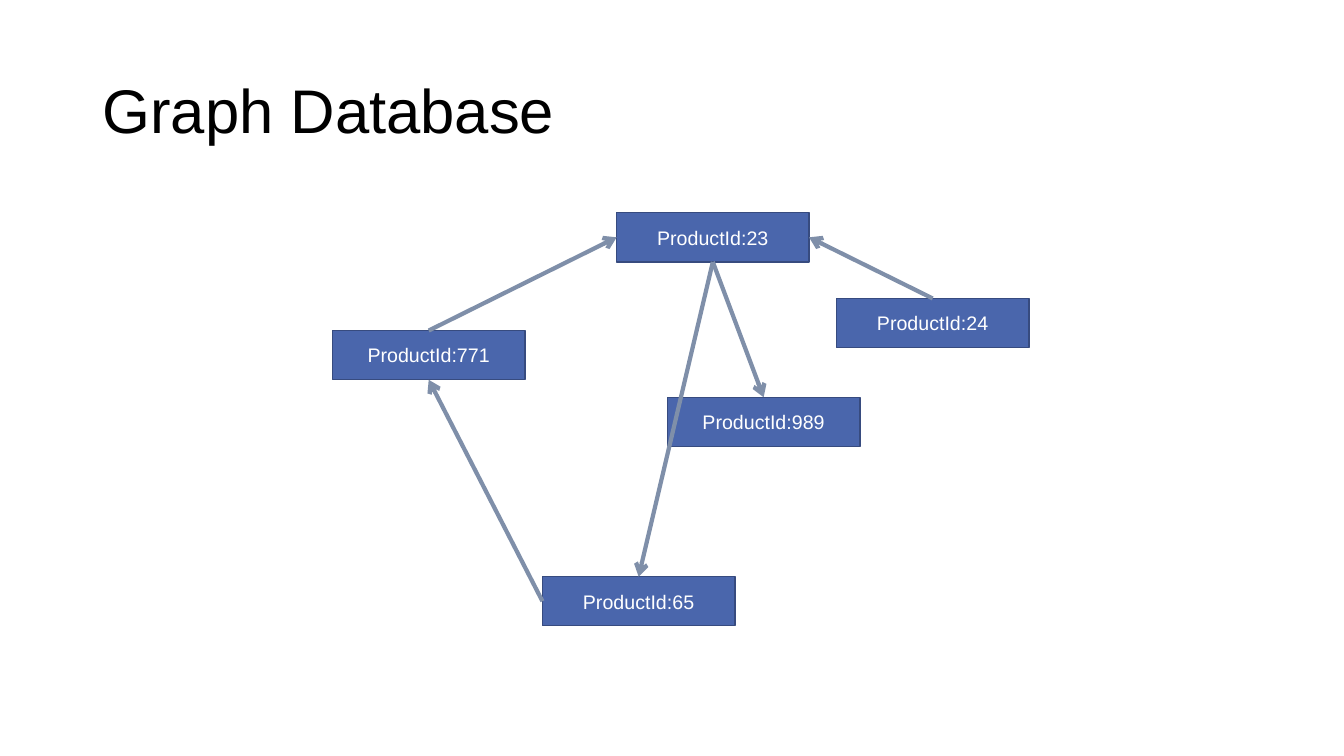
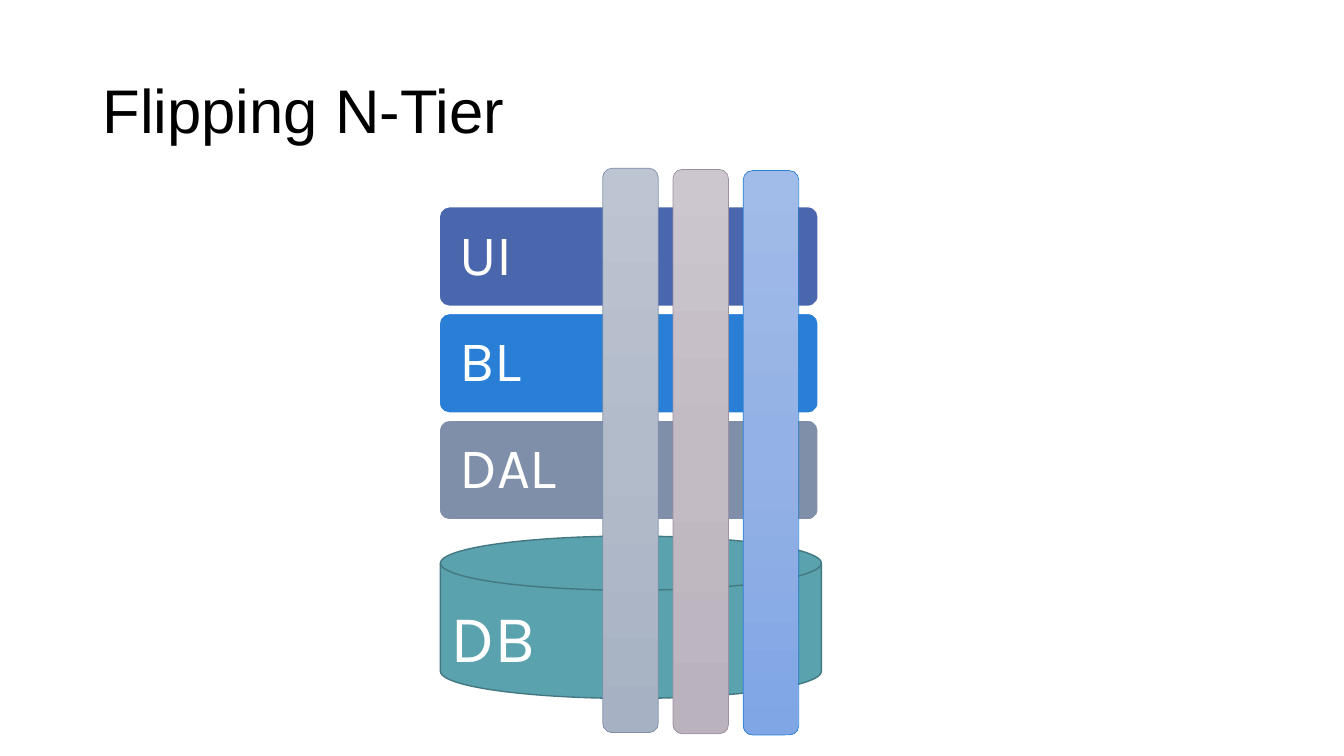
from dataclasses import dataclass

from copy import deepcopy
from lxml import etree
from pptx import Presentation
from pptx import util as u
from pptx.dml.color import RGBColor
from pptx.enum import shapes, text
from pptx.oxml.ns import qn

COLORS = {
    "black": "000000", "white": "FFFFFF",
    "indigo": "4A66AC", "indigo_dark": "374B7F",
    "blue": "297FD5", "slate": "7F8FA9", "mauve": "9D90A0",
    "teal": "5AA2AE", "teal_dark": "437881",
}
SHAPE = shapes.MSO_SHAPE
ALIGN = text.PP_ALIGN
ANCHOR = text.MSO_ANCHOR
TOP, LEFT, BOTTOM, RIGHT = 0, 1, 2, 3  # connection sites of a rectangle


@dataclass
class Node:
    product: int
    x: float
    y: float


@dataclass
class Edge:
    source: int
    source_site: int
    target: int
    target_site: int


@dataclass
class Tier:
    label: str
    fill: str


@dataclass
class Bar:
    line: str
    stops: tuple[str, str, str]


NODE_W, NODE_H = 4.85, 1.24
NODES = [Node(771, 8.38, 8.33), Node(23, 15.54, 5.36), Node(65, 13.67, 14.53),
         Node(989, 16.82, 10.01), Node(24, 21.08, 7.52)]
EDGES = [Edge(771, TOP, 23, LEFT), Edge(23, BOTTOM, 989, TOP),
         Edge(23, BOTTOM, 65, TOP), Edge(24, TOP, 23, RIGHT),
         Edge(65, LEFT, 771, BOTTOM)]

TIER_X, TIER_Y, TIER_PITCH = 11.07, 5.21, 2.69
TIERS = [Tier("UI", "indigo"), Tier("BL", "blue"), Tier("DAL", "slate")]

BAR_X, BAR_Y, BAR_STEP_X, BAR_STEP_Y = 15.19, 4.24, 1.77, 0.03
BARS = [Bar("slate", ("BEC5D2", "B2BBC9", "A6B1C3")),
        Bar("mauve", ("CCC6CE", "C2BBC4", "BAB2BC")),
        Bar("blue", ("A2BCE9", "94B1E5", "80A6E6"))]


def rgb(name: str) -> RGBColor:
    return RGBColor.from_string(COLORS[name])


def write(sp, words: str, *, size: float, font: str = "Arial", color: str = "white",
          align=ALIGN.LEFT, anchor=ANCHOR.MIDDLE, spacing: float = 1.0,
          inset: float | None = None) -> None:
    """Put one formatted paragraph into a shape."""
    tf = sp.text_frame
    tf.word_wrap = True
    tf.vertical_anchor = anchor
    if inset is not None:
        tf.margin_left = tf.margin_right = tf.margin_top = tf.margin_bottom = u.Cm(inset)
    p = tf.paragraphs[0]
    p.alignment, p.line_spacing = align, spacing
    r = p.add_run()
    r.text = words
    r.font.name, r.font.size = font, u.Pt(size)
    r.font.color.rgb = rgb(color)


def add_shape(s, kind, x: float, y: float, w: float, h: float, *, line: str,
              fill: str | None = None, line_width: float = 1):
    """Draw a preset shape without a shadow."""
    sp = s.shapes.add_shape(kind, u.Cm(x), u.Cm(y), u.Cm(w), u.Cm(h))
    sp.shadow.inherit = False
    sp.line.color.rgb, sp.line.width = rgb(line), u.Pt(line_width)
    if fill:
        sp.fill.solid()
        sp.fill.fore_color.rgb = rgb(fill)
    return sp


def fill_gradient(sp, stops: tuple[str, str, str]) -> None:
    """Fill from top to bottom through three evenly spaced colours."""
    sp.fill.gradient()
    sp.fill.gradient_angle = 270
    first = next(sp._element.spPr.iter(qn("a:gs")))
    first.addnext(deepcopy(first))
    for i, (stop, color) in enumerate(zip(sp.fill.gradient_stops, stops)):
        stop.position = i / 2
        stop.color.rgb = RGBColor.from_string(color)


def add_arrow(s, source, source_site: int, target, target_site: int) -> None:
    c = s.shapes.add_connector(shapes.MSO_CONNECTOR.STRAIGHT, 0, 0, 0, 0)
    c.begin_connect(source, source_site)
    c.end_connect(target, target_site)
    c.line.color.rgb, c.line.width = rgb("slate"), u.Pt(3)
    etree.SubElement(c.line._get_or_add_ln(), qn("a:tailEnd"), type="arrow")
    etree.SubElement(c._element.spPr, qn("a:effectLst"))


def add_slide(prs, title: str):
    s = prs.slides.add_slide(prs.slide_layouts.get_by_name("Title Only"))
    sp = s.shapes.title
    sp.left, sp.top, sp.width, sp.height = (u.Cm(v) for v in (2.33, 1.02, 29.21, 3.68))
    write(sp, title, size=44, color="black", spacing=0.9)
    return s


def build_graph(prs) -> None:
    s = add_slide(prs, "Graph Database")
    # Product nodes
    boxes = {}
    for n in NODES:
        sp = add_shape(s, SHAPE.RECTANGLE, n.x, n.y, NODE_W, NODE_H,
                       fill="indigo", line="indigo_dark")
        write(sp, f"ProductId:{n.product}", size=14, align=ALIGN.CENTER)
        boxes[n.product] = sp
    # Relations
    for e in EDGES:
        add_arrow(s, boxes[e.source], e.source_site, boxes[e.target], e.target_site)


def build_tiers(prs) -> None:
    s = add_slide(prs, "Flipping N-Tier")
    # Horizontal tiers
    for i, t in enumerate(TIERS):
        sp = add_shape(s, SHAPE.ROUNDED_RECTANGLE, TIER_X, TIER_Y + i * TIER_PITCH,
                       9.55, 2.51, fill=t.fill, line="white")
        sp.adjustments[0] = 0.1
        write(sp, t.label, size=41, font="Karla", spacing=0.9, inset=0.43)
    # Database
    sp = add_shape(s, SHAPE.FLOWCHART_MAGNETIC_DISK, 11.1, 13.51, 9.6, 4.09,
                   fill="teal", line="teal_dark")
    write(sp, "DB", size=48, font="Karla", anchor=ANCHOR.TOP)
    # Vertical slices
    for i, b in enumerate(BARS):
        sp = add_shape(s, SHAPE.ROUNDED_RECTANGLE, BAR_X + i * BAR_STEP_X,
                       BAR_Y + i * BAR_STEP_Y, 1.4, 14.22, line=b.line, line_width=0.5)
        fill_gradient(sp, b.stops)


def main() -> None:
    prs = Presentation()
    prs.slide_width, prs.slide_height = u.Cm(33.87), u.Cm(19.05)
    build_graph(prs)
    build_tiers(prs)
    prs.save("out.pptx")


if __name__ == "__main__":
    main()
